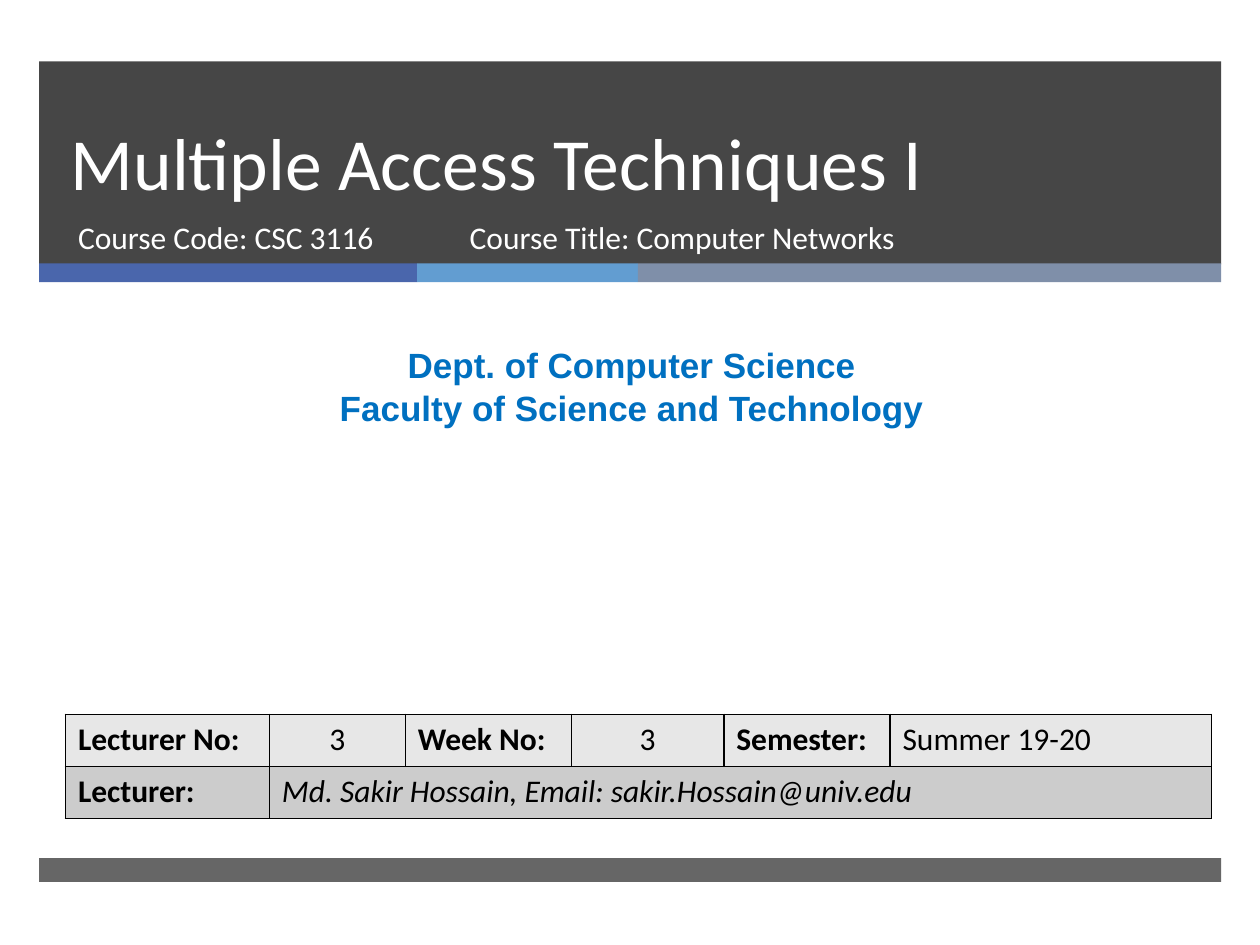
from pptx import Presentation
from pptx import util as u
from pptx.dml.color import RGBColor
from pptx.enum import shapes, text
from pptx.oxml import parse_xml
from pptx.oxml.ns import nsdecls, qn

WHITE = RGBColor(0xFF, 0xFF, 0xFF)
BLACK = RGBColor(0x00, 0x00, 0x00)
CHARCOAL = RGBColor(0x26, 0x26, 0x26)
INDIGO = RGBColor(0x4A, 0x66, 0xAC)
SKY = RGBColor(0x62, 0x9D, 0xD1)
SLATE = RGBColor(0x7F, 0x8F, 0xA9)
BLUE = RGBColor(0x00, 0x70, 0xC0)
LIGHT = RGBColor(0xE7, 0xE7, 0xE7)
GREY = RGBColor(0xCC, 0xCC, 0xCC)

LEFT, CENTER = text.PP_ALIGN.LEFT, text.PP_ALIGN.CENTER
TOP, BOTTOM = text.MSO_ANCHOR.TOP, text.MSO_ANCHOR.BOTTOM


class Deck:
    """Holds the text style and the current slide."""

    font, size = "Calibri", 18

    def __init__(self, prs):
        self.s = prs.slides.add_slide(prs.slide_layouts[0])

    def add_text(self, p, words, color, size=None, font=None, bold=False, italic=False):
        r = p.add_run()
        r.text = words
        f = r.font
        f.name, f.size = font or self.font, u.Pt(size or self.size)
        f.bold, f.italic, f.color.rgb = bold, italic, color

    def band(self, x, y, w, h, color, opacity=100):
        sp = self.s.shapes.add_shape(shapes.MSO_SHAPE.RECTANGLE, *map(u.Cm, (x, y, w, h)))
        sp.shadow.inherit = False
        sp.line.fill.background()
        sp.fill.solid()
        sp.fill.fore_color.rgb = color
        if opacity < 100:
            clr = sp.element.spPr.find(".//" + qn("a:srgbClr"))
            clr.append(parse_xml(f'<a:alpha {nsdecls("a")} val="{opacity * 1000}"/>'))

    def set_lines(self, sp, lines, color=WHITE, align=LEFT, anchor=TOP, spacing=None, **style):
        tf = sp.text_frame
        tf.word_wrap, tf.auto_size = True, text.MSO_AUTO_SIZE.NONE
        tf.vertical_anchor = anchor
        for i, words in enumerate(lines):
            p = tf.add_paragraph() if i else tf.paragraphs[0]
            p.alignment, p.space_before = align, u.Pt(0)
            if spacing:
                p.line_spacing = u.Pt(spacing)
            self.add_text(p, words, color, **style)

    def placeholder(self, idx, box, words, **style):
        sp = self.s.placeholders[idx]
        sp.left, sp.top, sp.width, sp.height = map(u.Cm, box)
        self.s.shapes.element.append(sp.element)  # bring above the bands
        self.set_lines(sp, [words], **style)

    def textbox(self, box, lines, **style):
        self.set_lines(self.s.shapes.add_textbox(*map(u.Cm, box)), lines, **style)

    def table(self, x, y, widths, row_h, rows, fills):
        frame = self.s.shapes.add_table(len(rows), len(widths), u.Cm(x), u.Cm(y),
                                        u.Cm(sum(widths)), u.Cm(row_h * len(rows)))
        tbl = frame.table
        for col, w in zip(tbl.columns, widths):
            col.width = u.Cm(w)
        for i, row in enumerate(rows):
            tbl.rows[i].height = u.Cm(row_h)
            for j in range(len(widths)):
                self.cell(tbl.cell(i, j), fills[i], row[j] if j < len(row) else None)
            if len(row) < len(widths):
                tbl.cell(i, len(row) - 1).merge(tbl.cell(i, len(widths) - 1))

    def cell(self, c, fill, content):
        if content:
            words, align, style = content
            p = c.text_frame.paragraphs[0]
            p.alignment = align
            self.add_text(p, words, BLACK, **style)
        tc_pr = c._tc.get_or_add_tcPr()
        for side in ("lnL", "lnR", "lnT", "lnB"):
            tc_pr.append(parse_xml(
                f'<a:{side} {nsdecls("a")} w="12700"><a:solidFill>'
                f'<a:srgbClr val="{BLACK}"/></a:solidFill></a:{side}>'))
        c.fill.solid()
        c.fill.fore_color.rgb = fill


def label(words):
    return words, LEFT, {"bold": True}


def value(words, align=LEFT, **style):
    return words, align, style


def main():
    prs = Presentation()
    prs.slide_width, prs.slide_height = u.Cm(25.4), u.Cm(19.05)
    d = Deck(prs)

    # Header block, coloured strip and footer bar
    x, width = 0.79, 23.83
    d.band(x, 1.24, width, 4.09, CHARCOAL, 85)
    d.band(x, 17.3, width, 0.48, CHARCOAL, 70)
    for w, color in ((7.62, INDIGO), (4.45, SKY), (11.76, SLATE)):
        d.band(x, 5.31, w, 0.38, color)
        x += w

    # Title and course details
    d.placeholder(0, (1.17, 1.24, 21.69, 3.02), "Multiple Access Techniques I",
                  anchor=BOTTOM, spacing=46, size=42)
    d.placeholder(1, (1.32, 4.27, 7.75, 1.35), "Course Code: CSC 3116")
    d.textbox((9.22, 4.27, 11.56, 1.35), ["Course Title: Computer Networks"])

    # Department
    d.textbox((0.2, 6.81, 25.07, 1.96),
              ["Dept. of Computer Science", "Faculty of Science and Technology"],
              color=BLUE, align=CENTER, size=20, font="Arial", bold=True)

    # Lecture details; a short row spans its last cell to the right edge
    d.table(1.32, 14.4, (4.11, 2.74, 3.35, 3.07, 3.35, 6.48), 1.05, [
        [label("Lecturer No:"), value("3", CENTER), label("Week No:"),
         value("3", CENTER), label("Semester:"), value("Summer 19-20")],
        [label("Lecturer:"),
         value("Md. Sakir Hossain, Email: sakir.Hossain@univ.edu", italic=True)],
    ], (LIGHT, GREY))

    prs.save("out.pptx")


if __name__ == "__main__":
    main()
